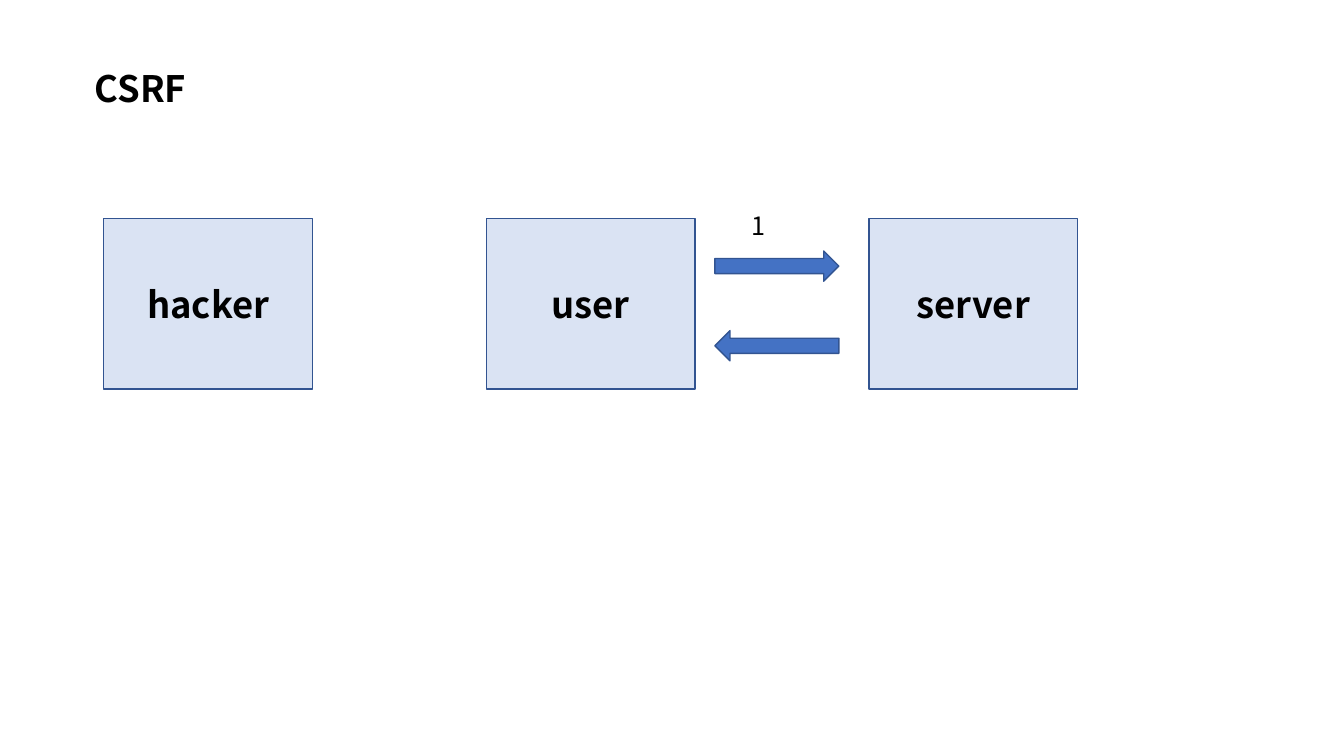
from pptx import Presentation, util as u
from pptx.dml.color import RGBColor
from pptx.enum import shapes, text

FONT = "Noto Sans CJK KR"
BLACK, PALE, BLUE, NAVY = "000000", "DAE3F3", "4472C4", "325491"


def colour(value):
    """Turn a hex string into a colour."""
    return RGBColor.from_string(value)


def write(frame, words, size=26, bold=True, align="LEFT", anchor="TOP"):
    """Put formatted words into a text frame."""
    frame.word_wrap = True
    frame.vertical_anchor = getattr(text.MSO_ANCHOR, anchor)
    line = frame.paragraphs[0]
    line.alignment = getattr(text.PP_ALIGN, align)
    run = line.add_run()
    run.text = words
    run.font.name, run.font.size, run.font.bold = FONT, u.Pt(size), bold
    run.font.color.rgb = colour(BLACK)


def label(slide, box, words, **style):
    """Add free-standing text in a box."""
    area = slide.shapes.add_textbox(*map(u.Inches, box))
    write(area.text_frame, words, **style)


def outlined(slide, kind, box, fill):
    """Add a filled preset shape with the common outline."""
    shape = slide.shapes.add_shape(kind, *map(u.Inches, box))
    shape.shadow.inherit = False
    shape.fill.solid()
    shape.fill.fore_color.rgb = colour(fill)
    shape.line.color.rgb = colour(NAVY)
    shape.line.width = u.Pt(1)
    return shape


def actors(slide, box, names, actor_width):
    """Spread the actors evenly across the box."""
    left, top, width, height = box
    pitch = (width - actor_width) / (len(names) - 1)
    for column, name in enumerate(names):
        actor = outlined(slide, shapes.MSO_SHAPE.RECTANGLE,
                         (left + column * pitch, top, actor_width, height), PALE)
        write(actor.text_frame, name, align="CENTER", anchor="MIDDLE")


def exchange(slide, box, step):
    """Draw a numbered request arrow above its response arrow."""
    left, top, width, height = box
    thickness = 0.3
    label(slide, (left + 0.27, top - 0.45, 0.8, 0.4), step, size=18, bold=False)
    for row, turn in enumerate((0, 180)):
        arrow = outlined(slide, shapes.MSO_SHAPE.RIGHT_ARROW,
                         (left, top + row * (height - thickness), width, thickness), BLUE)
        arrow.rotation = turn


def csrf_slide(deck):
    """Build the slide showing who takes part in CSRF."""
    slide = deck.slides.add_slide(deck.slide_layouts[6])
    label(slide, (0.84, 0.61, 1.87, 0.54), "CSRF")
    actors(slide, (1.03, 2.17, 9.66, 1.69), ("hacker", "user", "server"), 2.07)
    exchange(slide, (7.09, 2.49, 1.23, 1.09), "1")


deck = Presentation()
deck.slide_width, deck.slide_height = u.Inches(13.33), u.Inches(7.5)
csrf_slide(deck)
deck.save("out.pptx")
